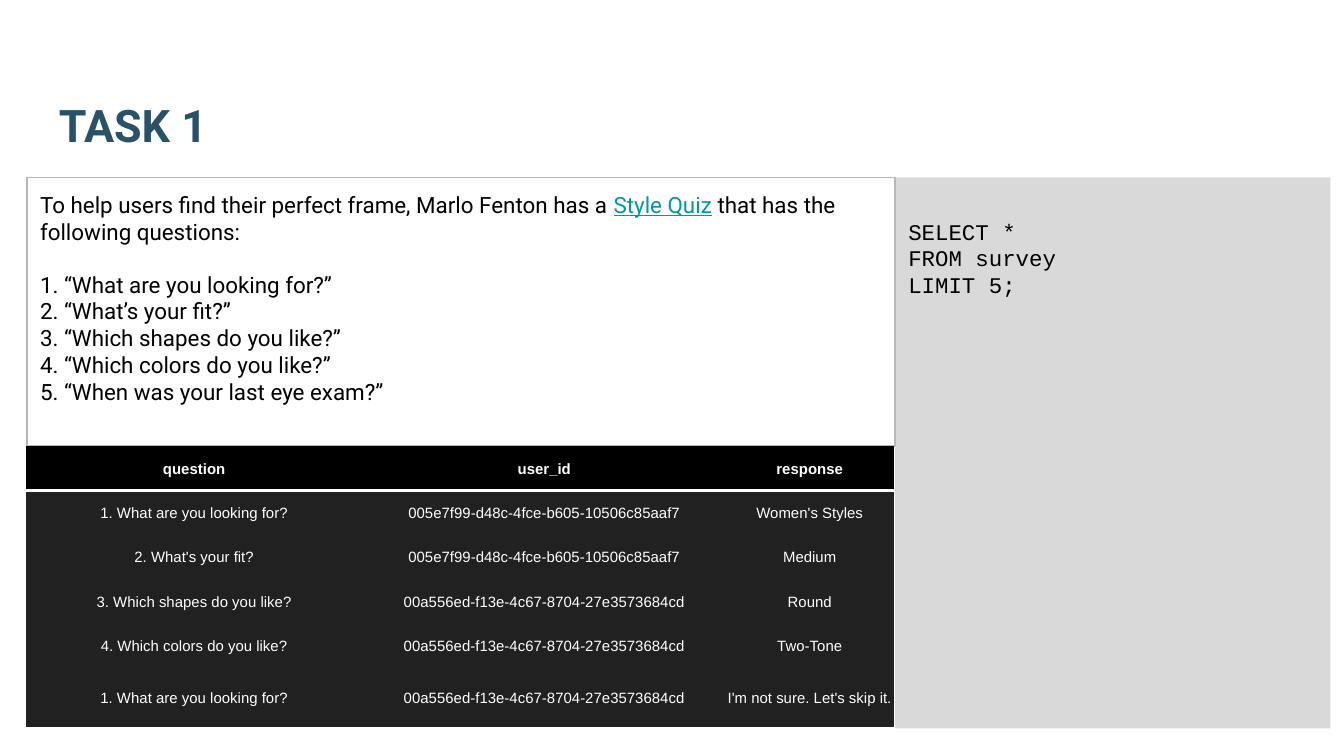
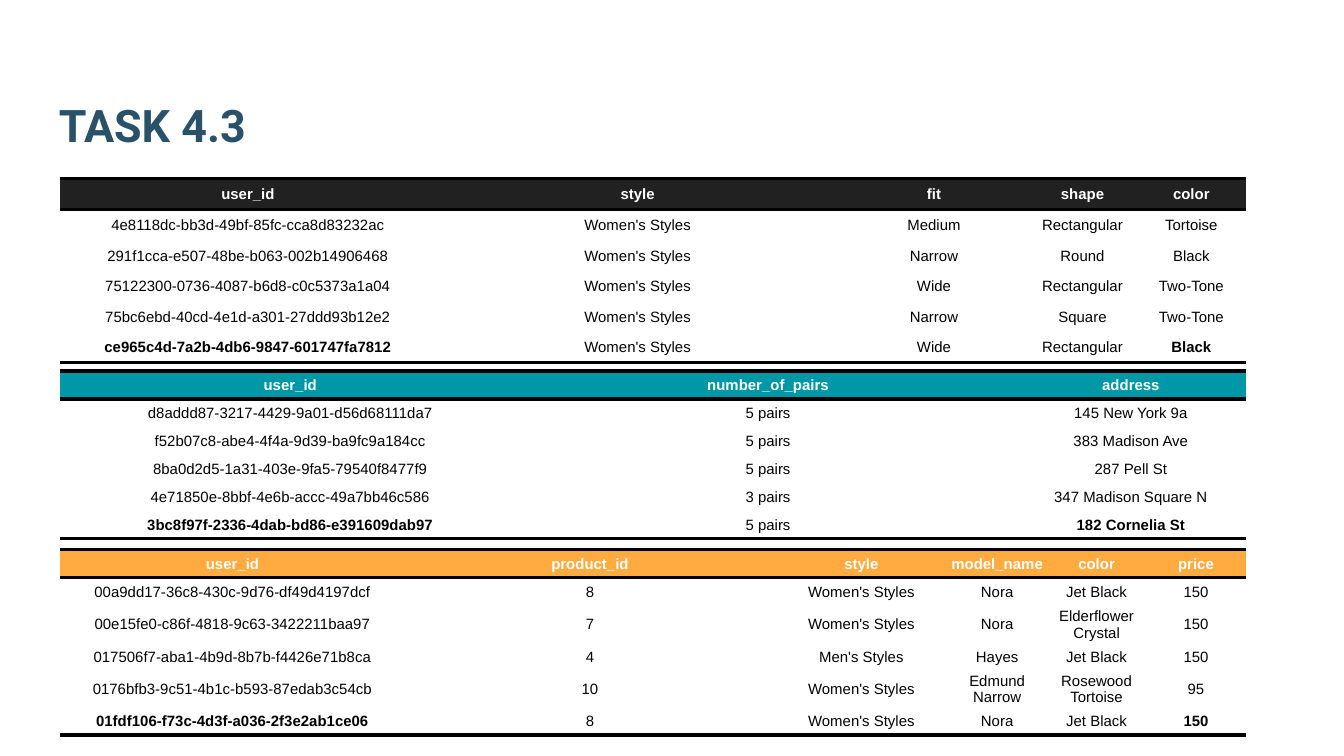
from lxml.etree import SubElement
from pptx import Presentation
from pptx.dml.color import RGBColor
from pptx.enum.shapes import MSO_SHAPE
from pptx.enum.text import MSO_ANCHOR, PP_ALIGN
from pptx.oxml.ns import qn
from pptx.util import Inches, Pt

BLACK = RGBColor(0x00, 0x00, 0x00)
WHITE = RGBColor(0xFF, 0xFF, 0xFF)
CHARCOAL = RGBColor(0x21, 0x21, 0x21)
NAVY = RGBColor(0x29, 0x52, 0x69)
TEAL = RGBColor(0x00, 0x97, 0xA7)
ORANGE = RGBColor(0xFF, 0xAB, 0x40)
PANEL_GREY = RGBColor(0xD9, 0xD9, 0xD9)
LINE_GREY = RGBColor(0xB7, 0xB7, 0xB7)

TITLE = {"name": "Roboto", "size": Pt(24), "bold": True}
BODY = {"name": "Roboto", "size": Pt(12)}
LINK = {**BODY, "underline": True}
CODE = {"name": "Courier New", "size": Pt(12)}
HEADER = {"name": "Arial", "size": Pt(8), "bold": True}
CELL = {**HEADER, "bold": False}
CELL_MARGINS = {"margin_left": Pt(0.5), "margin_right": Pt(0.5),
                "margin_top": Pt(0.5), "margin_bottom": 0}
FRAME = {"word_wrap": True, "vertical_anchor": MSO_ANCHOR.TOP,
         "margin_left": Inches(0.1), "margin_right": Inches(0.1),
         "margin_top": Inches(0.1), "margin_bottom": Inches(0.1)}
PARAGRAPH = {"alignment": PP_ALIGN.LEFT, "line_spacing": Pt(14.4)}
PLAIN_TABLE = "{2D5ABB26-0587-4C30-8999-92F81FD0307C}"


def write(para, text, color, style):
    span = para.add_run()
    span.text = text
    span.font.color.rgb = color
    for key, value in style.items():
        setattr(span.font, key, value)


def add_data_table(page, left, top, widths, heights, rows, header_fill, body_fill,
                   body_color, rules, bold_cells=()):
    """Draw rows; rules maps (row, side) to the colour of a 2 pt border."""
    frame = page.shapes.add_table(len(rows), len(widths), Inches(left), Inches(top),
                                  Inches(sum(widths)), Inches(sum(heights)))
    table = frame.table
    table._tbl.tblPr.find(qn("a:tableStyleId")).text = PLAIN_TABLE
    for column, width in zip(table.columns, widths):
        column.width = Inches(width)
    for row, height in zip(table.rows, heights):
        row.height = Inches(height)
    for r, values in enumerate(rows):
        for c, value in enumerate(values):
            cell = table.cell(r, c)
            for key, margin in CELL_MARGINS.items():
                setattr(cell, key, margin)
            cell.vertical_anchor = MSO_ANCHOR.MIDDLE
            # Borders come before the fill in the cell properties
            for side in ("lnT", "lnB"):
                if (r, side) in rules:
                    line = SubElement(cell._tc.get_or_add_tcPr(), qn(f"a:{side}"), w=str(Pt(2)))
                    fill = SubElement(line, qn("a:solidFill"))
                    SubElement(fill, qn("a:srgbClr"), val=str(rules[r, side]))
            cell.fill.solid()
            cell.fill.fore_color.rgb = body_fill if r else header_fill
            para = cell.text_frame.paragraphs[0]
            para.alignment = PP_ALIGN.CENTER
            write(para, value, body_color if r else WHITE,
                  HEADER if r == 0 or (r, c) in bold_cells else CELL)


# A 16:9 deck
deck = Presentation()
deck.slide_width = Inches(10)
deck.slide_height = Inches(10 * 9 / 16)

# Pages with their titles
pages = []
for title in ("TASK 1", "TASK 4.3"):
    page = deck.slides.add_slide(deck.slide_layouts[6])
    box = page.shapes.add_textbox(Inches(0.34), Inches(0.31), Inches(9.32), Inches(0.92))
    for key, value in {**FRAME, "vertical_anchor": MSO_ANCHOR.BOTTOM}.items():
        setattr(box.text_frame, key, value)
    write(box.text_frame.paragraphs[0], title, NAVY, TITLE)
    pages.append(page)
survey_page, samples_page = pages

# Task 1: query panel and question panel
query = [[(line, BLACK, CODE)] for line in ("SELECT *", "FROM survey", "LIMIT 5;")]
questions = [
    [("To help users find their perfect frame, Marlo Fenton has a ", BLACK, BODY),
     ("Style Quiz", TEAL, LINK),
     (" that has the following questions:", BLACK, BODY)],
]
for number, question in enumerate(("What are you looking for?", "What’s your fit?",
                                   "Which shapes do you like?", "Which colors do you like?",
                                   "When was your last eye exam?"), 1):
    questions.append([(f"{number}. “{question}”", BLACK, BODY)])

panels = []
for left, width, height, top_margin, lines in ((6.66, 3.24, 4.1, 0.3, query),
                                               (0.2, 6.46, 2, 0.1, questions)):
    panel = survey_page.shapes.add_shape(MSO_SHAPE.RECTANGLE, Inches(left), Inches(1.32),
                                         Inches(width), Inches(height))
    panel.shadow.inherit = False
    for key, value in {**FRAME, "margin_top": Inches(top_margin)}.items():
        setattr(panel.text_frame, key, value)
    for index, spans in enumerate(lines):
        para = panel.text_frame.add_paragraph() if index else panel.text_frame.paragraphs[0]
        for key, value in PARAGRAPH.items():
            setattr(para, key, value)
        for text, color, style in spans:
            write(para, text, color, style)
    panels.append(panel)

query_panel, question_panel = panels
query_panel.fill.solid()
query_panel.fill.fore_color.rgb = PANEL_GREY
query_panel.line.fill.background()
question_panel.fill.background()
question_panel.line.color.rgb = LINE_GREY
question_panel.line.width = Pt(0.75)
question_panel.text_frame.paragraphs[1].space_before = Pt(14)

# Task 1: survey answers
survey_rows = [
    ("question", "user_id", "response"),
    ("1. What are you looking for?", "005e7f99-d48c-4fce-b605-10506c85aaf7", "Women's Styles"),
    ("2. What's your fit?", "005e7f99-d48c-4fce-b605-10506c85aaf7", "Medium"),
    ("3. Which shapes do you like?", "00a556ed-f13e-4c67-8704-27e3573684cd", "Round"),
    ("4. Which colors do you like?", "00a556ed-f13e-4c67-8704-27e3573684cd", "Two-Tone"),
    ("1. What are you looking for?", "00a556ed-f13e-4c67-8704-27e3573684cd",
     "I'm not sure. Let's skip it."),
]
add_data_table(survey_page, 0.19, 3.32, (2.51, 2.7, 1.25), [0.33] * 5 + [0.44], survey_rows,
               BLACK, CHARCOAL, WHITE, {(0, "lnB"): WHITE})

# Task 4.3: quiz, home try-on and purchase samples
quiz_rows = [
    ("user_id", "style", "fit", "shape", "color"),
    ("4e8118dc-bb3d-49bf-85fc-cca8d83232ac", "Women's Styles", "Medium", "Rectangular", "Tortoise"),
    ("291f1cca-e507-48be-b063-002b14906468", "Women's Styles", "Narrow", "Round", "Black"),
    ("75122300-0736-4087-b6d8-c0c5373a1a04", "Women's Styles", "Wide", "Rectangular", "Two-Tone"),
    ("75bc6ebd-40cd-4e1d-a301-27ddd93b12e2", "Women's Styles", "Narrow", "Square", "Two-Tone"),
    ("ce965c4d-7a2b-4db6-9847-601747fa7812", "Women's Styles", "Wide", "Rectangular", "Black"),
]
try_on_rows = [
    ("user_id", "number_of_pairs", "address"),
    ("d8addd87-3217-4429-9a01-d56d68111da7", "5 pairs", "145 New York 9a"),
    ("f52b07c8-abe4-4f4a-9d39-ba9fc9a184cc", "5 pairs", "383 Madison Ave"),
    ("8ba0d2d5-1a31-403e-9fa5-79540f8477f9", "5 pairs", "287 Pell St"),
    ("4e71850e-8bbf-4e6b-accc-49a7bb46c586", "3 pairs", "347 Madison Square N"),
    ("3bc8f97f-2336-4dab-bd86-e391609dab97", "5 pairs", "182 Cornelia St"),
]
purchase_rows = [
    ("user_id", "product_id", "style", "model_name", "color", "price"),
    ("00a9dd17-36c8-430c-9d76-df49d4197dcf", "8", "Women's Styles", "Nora", "Jet Black", "150"),
    ("00e15fe0-c86f-4818-9c63-3422211baa97", "7", "Women's Styles", "Nora",
     "Elderflower Crystal", "150"),
    ("017506f7-aba1-4b9d-8b7b-f4426e71b8ca", "4", "Men's Styles", "Hayes", "Jet Black", "150"),
    ("0176bfb3-9c51-4b1c-b593-87edab3c54cb", "10", "Women's Styles", "Edmund Narrow",
     "Rosewood Tortoise", "95"),
    ("01fdf106-f73c-4d3f-a036-2f3e2ab1ce06", "8", "Women's Styles", "Nora", "Jet Black", "150"),
]
samples = (
    (1.33, (2.79, 3.01, 1.4, 0.81, 0.81), 1.37, quiz_rows, CHARCOAL),
    (2.76, (3.42, 3.69, 1.71), 1.25, try_on_rows, TEAL),
    (4.09, (2.56, 2.76, 1.28, 0.74, 0.74, 0.74), 1.25, purchase_rows, ORANGE),
)
for top, widths, height, rows, header_fill in samples:
    last = len(rows) - 1
    add_data_table(samples_page, 0.45, top, widths, [height / len(rows)] * len(rows), rows,
                   header_fill, WHITE, BLACK,
                   {(0, "lnT"): BLACK, (0, "lnB"): BLACK, (last, "lnB"): BLACK},
                   {(last, 0), (last, len(widths) - 1)})

deck.save("out.pptx")
